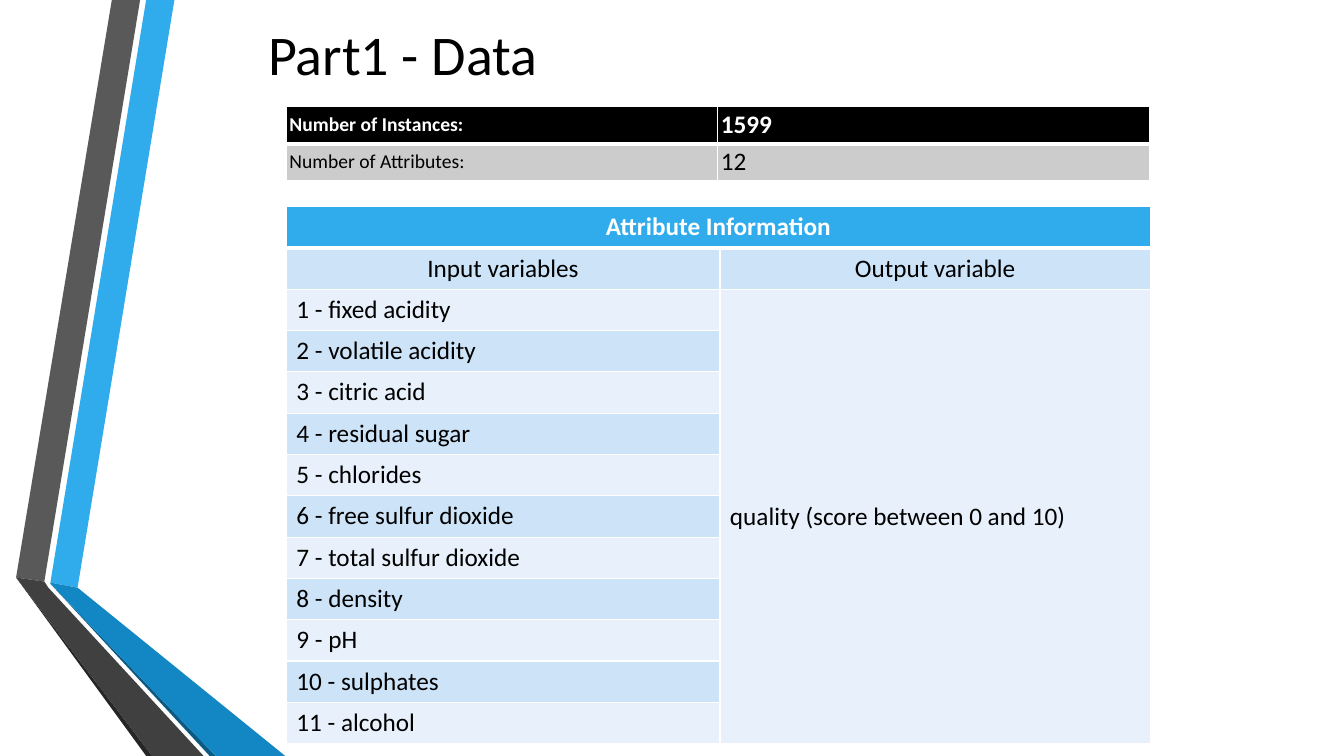
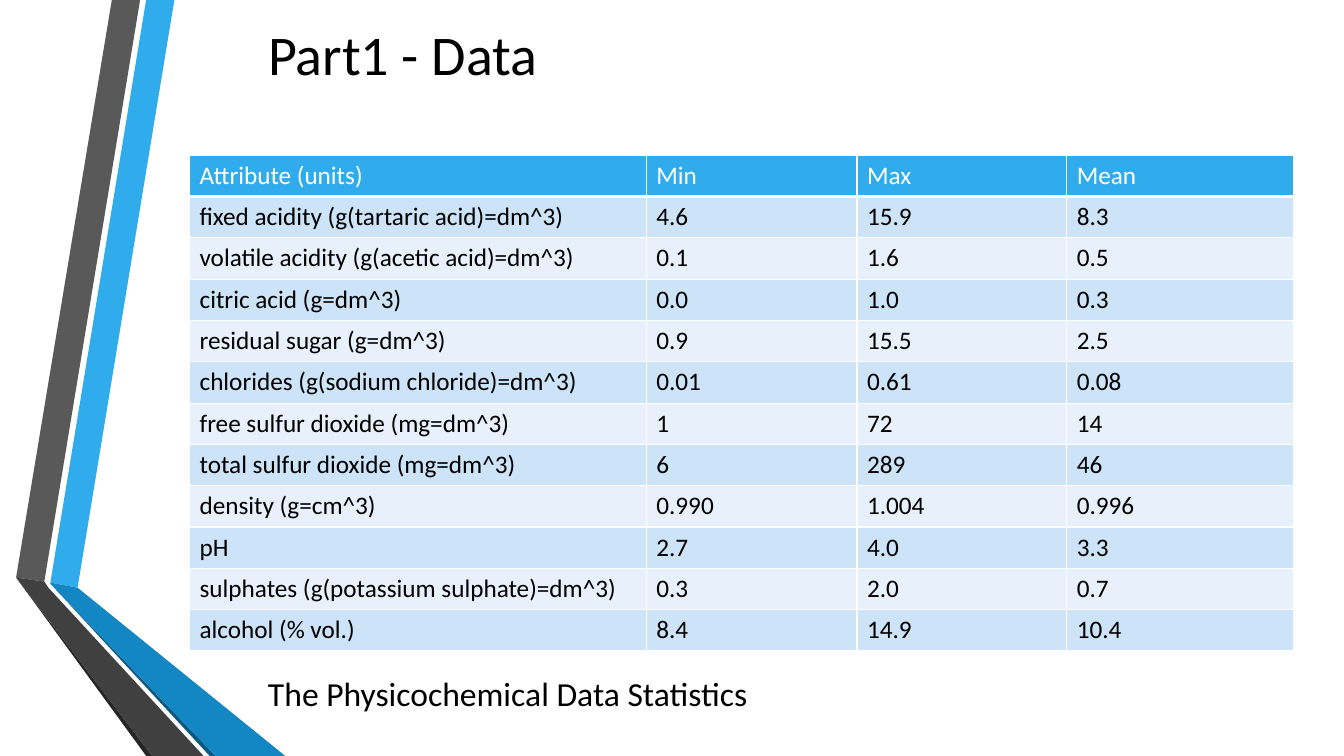
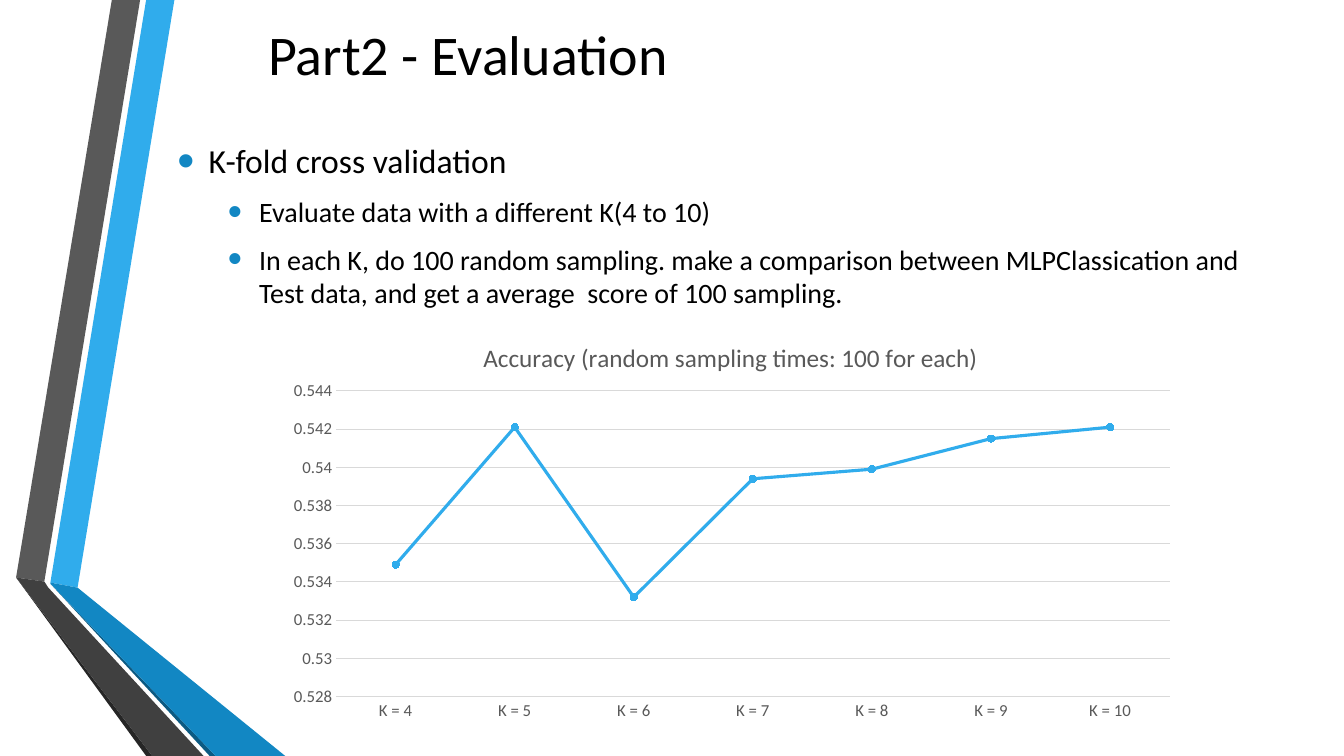
from dataclasses import dataclass

from lxml.etree import SubElement
from pptx import Presentation
from pptx.chart.data import CategoryChartData
from pptx.dml.color import RGBColor
from pptx.enum.chart import XL_CHART_TYPE as ChartType, XL_MARKER_STYLE as MarkerStyle
from pptx.enum.chart import XL_TICK_MARK as TickMark
from pptx.enum.text import MSO_ANCHOR as Anchor, MSO_AUTO_SIZE as AutoSize, PP_ALIGN as Align
from pptx.oxml import parse_xml
from pptx.oxml.ns import nsdecls, qn
from pptx.util import Inches, Pt


@dataclass(frozen=True)
class Theme:
    font: str = "Calibri"
    black: str = "000000"
    white: str = "FFFFFF"
    gray: str = "595959"
    charcoal: str = "404040"
    dark_edge: str = "262626"
    silver: str = "CCCCCC"
    grid: str = "D9D9D9"
    blue: str = "30ACEC"
    deep_blue: str = "1287C3"
    blue_edge: str = "0C5A82"
    band: str = "CDE3F8"
    light_band: str = "E8F1FB"
    title_size: int = 40
    lead_size: int = 24
    point_size: int = 20
    table_size: int = 18
    label_size: int = 14
    chart_title_size: int = 18
    axis_size: int = 12


THEME = Theme()
TITLE_ONLY, TITLE_AND_CONTENT = 5, 1
ROW_HEIGHT = 0.41

RIBBONS = [
    (THEME.blue, [(0.5, 5.78), (0.77, 5.83), (1.73, 0), (1.45, 0)]),
    (THEME.gray, [(1.39, 0), (1.11, 0), (0.16, 5.73), (0.44, 5.77)]),
    (THEME.dark_edge, [(0.16, 5.73), (1.45, 7.5), (1.51, 7.5)]),
    (THEME.blue_edge, [(0.5, 5.79), (2.08, 7.5), (2.14, 7.5)]),
    (THEME.deep_blue, [(0.5, 5.78), (0.5, 5.79), (2.14, 7.5), (2.83, 7.5), (0.77, 5.83)]),
    (THEME.charcoal, [(2.02, 7.5), (0.48, 5.83), (0.44, 5.77), (0.16, 5.73), (1.51, 7.5)]),
]

COUNTS = [("Number of Instances:", "1599"), ("Number of Attributes:", "12")]

INPUTS = ["fixed acidity", "volatile acidity", "citric acid", "residual sugar", "chlorides",
          "free sulfur dioxide", "total sulfur dioxide", "density", "pH", "sulphates", "alcohol"]

STATISTICS = [
    ("Attribute (units)", "Min", "Max", "Mean"),
    ("fixed acidity (g(tartaric acid)=dm^3)", "4.6", "15.9", "8.3"),
    ("volatile acidity (g(acetic acid)=dm^3)", "0.1", "1.6", "0.5"),
    ("citric acid (g=dm^3)", "0.0", "1.0", "0.3"),
    ("residual sugar (g=dm^3)", "0.9", "15.5", "2.5"),
    ("chlorides (g(sodium chloride)=dm^3)", "0.01", "0.61", "0.08"),
    ("free sulfur dioxide (mg=dm^3)", "1", "72", "14"),
    ("total sulfur dioxide (mg=dm^3)", "6", "289", "46"),
    ("density (g=cm^3)", "0.990", "1.004", "0.996"),
    ("pH", "2.7", "4.0", "3.3"),
    ("sulphates (g(potassium sulphate)=dm^3)", "0.3", "2.0", "0.7"),
    ("alcohol (% vol.)", "8.4", "14.9", "10.4"),
]

VALIDATION_POINTS = [
    ("K-fold cross validation", 0),
    ("Evaluate data with a different K(4 to 10)", 1),
    ("In each K, do 100 random sampling. make a comparison between MLPClassication and "
     "Test data, and get a average  score of 100 sampling.", 1),
]

ACCURACY = [0.5349, 0.5421, 0.5332, 0.5394, 0.5399, 0.5415, 0.5421]


def rgb(color):
    return RGBColor.from_string(color)


def format_font(font, size, color, bold=False):
    font.name = THEME.font
    font.size = Pt(size)
    font.bold = bold
    font.color.rgb = rgb(color)


def write(paragraph, text, size=THEME.table_size, color=THEME.black, bold=False,
          align=Align.LEFT):
    paragraph.alignment = align
    run = paragraph.add_run()
    run.text = text
    format_font(run.font, size, color, bold)


def place(shape, left, top, width, height):
    shape.left, shape.top = Inches(left), Inches(top)
    shape.width, shape.height = Inches(width), Inches(height)


def add_slide(presentation, layout, title):
    slide = presentation.slides.add_slide(presentation.slide_layouts[layout])
    place(slide.shapes.title, 2.56, 0.04, 10.96, 0.98)
    frame = slide.shapes.title.text_frame
    frame.vertical_anchor = Anchor.MIDDLE
    frame.auto_size = AutoSize.NONE
    write(frame.paragraphs[0], title, size=THEME.title_size)
    return slide


def add_ribbons_to_master(presentation, slide):
    master_tree = presentation.slide_master.element.cSld.spTree
    for number, (color, outline) in enumerate(RIBBONS):
        points = [(Inches(x), Inches(y)) for x, y in outline]
        builder = slide.shapes.build_freeform(*points[0])
        builder.add_line_segments(points[1:], close=True)
        ribbon = builder.convert_to_shape()
        ribbon.shadow.inherit = False
        ribbon.fill.solid()
        ribbon.fill.fore_color.rgb = rgb(color)
        ribbon.line.fill.background()
        ribbon.element.nvSpPr.cNvPr.id = 100 + number
        master_tree.insert(2 + number, ribbon.element)


def style_cell(cell, fill, top=1, bottom=1):
    properties = cell._tc.get_or_add_tcPr()
    for side, width in (("L", 1), ("R", 1), ("T", top), ("B", bottom)):
        line = SubElement(properties, qn(f"a:ln{side}"), w=str(Pt(width)))
        SubElement(SubElement(line, qn("a:solidFill")), qn("a:srgbClr"), val=THEME.white)
    cell.fill.solid()
    cell.fill.fore_color.rgb = rgb(fill)


def add_table(slide, left, top, widths, rows, row_height=ROW_HEIGHT, header_fill=THEME.blue,
              bands=(THEME.light_band, THEME.band), header_bold=False, centered_rows=0,
              first_column_size=THEME.table_size, margin=None):
    frame = slide.shapes.add_table(len(rows), len(widths), Inches(left), Inches(top),
                                   Inches(sum(widths)), Inches(row_height * len(rows)))
    table = frame.table
    for column, width in zip(table.columns, widths):
        column.width = Inches(width)
    for row_index, values in enumerate(rows):
        header = row_index == 0
        table.rows[row_index].height = Inches(row_height)
        for column_index, value in enumerate(values):
            cell = table.cell(row_index, column_index)
            style_cell(cell, header_fill if header else bands[row_index % 2],
                       top=3 if row_index == 1 else 1, bottom=3 if header else 1)
            if margin is not None:
                cell.margin_left = cell.margin_right = Inches(margin)
                cell.margin_top = cell.margin_bottom = Inches(margin)
                cell.vertical_anchor = Anchor.MIDDLE
            if value:
                write(cell.text_frame.paragraphs[0], value,
                      size=THEME.table_size if column_index else first_column_size,
                      color=THEME.white if header else THEME.black,
                      bold=header and header_bold,
                      align=Align.CENTER if row_index < centered_rows else Align.LEFT)
    return table


def add_bullet(paragraph, text, level):
    paragraph.level = level
    paragraph.space_after = Pt(6)
    write(paragraph, text, size=THEME.point_size if level else THEME.lead_size)
    properties = paragraph._p.get_or_add_pPr()
    properties.set("marL", str(Inches(0.31 + 0.5 * level)))
    properties.set("indent", str(Inches(-0.31)))
    SubElement(SubElement(properties, qn("a:buClr")), qn("a:srgbClr"), val=THEME.deep_blue)
    SubElement(properties, qn("a:buSzPct"), val="145000")
    SubElement(properties, qn("a:buFont"), typeface="Arial")
    SubElement(properties, qn("a:buChar"), char="•")


def fill_body(body, points):
    frame = body.text_frame
    frame.auto_size = AutoSize.NONE
    for index, (text, level) in enumerate(points):
        paragraph = frame.add_paragraph() if index else frame.paragraphs[0]
        add_bullet(paragraph, text, level)


def set_plot_area(chart, x, y, width, height):
    plot_area = chart.element.chart.plotArea
    for layout in plot_area.findall(qn("c:layout")):
        plot_area.remove(layout)
    sizes = "".join(f'<c:{name} val="{value}"/>'
                    for name, value in (("x", x), ("y", y), ("w", width), ("h", height)))
    plot_area.insert(0, parse_xml(
        f'<c:layout {nsdecls("c")}><c:manualLayout><c:layoutTarget val="inner"/>'
        f'<c:xMode val="edge"/><c:yMode val="edge"/>{sizes}</c:manualLayout></c:layout>'))


def add_accuracy_chart(slide):
    data = CategoryChartData(number_format="General")
    data.categories = [f"K = {k}" for k in range(4, 11)]
    data.add_series("Series 1", ACCURACY)
    chart = slide.shapes.add_chart(ChartType.LINE_MARKERS, Inches(2.8), Inches(3.2),
                                   Inches(8.89), Inches(3.99), data).chart
    format_font(chart.font, THEME.axis_size, THEME.gray)
    chart.has_legend = False
    chart.has_title = True
    write(chart.chart_title.text_frame.paragraphs[0],
          "Accuracy (random sampling times: 100 for each)",
          size=THEME.chart_title_size, color=THEME.gray, align=Align.CENTER)
    chart.chart_title.include_in_layout = False
    set_plot_area(chart, 0.06, 0.17, 0.93, 0.76)

    for axis in (chart.category_axis, chart.value_axis):
        axis.major_tick_mark = axis.minor_tick_mark = TickMark.NONE
        format_font(axis.tick_labels.font, THEME.axis_size, THEME.gray)
    values = chart.value_axis
    values.minimum_scale, values.maximum_scale, values.major_unit = 0.528, 0.544, 0.002
    values.format.line.fill.background()
    for line in (chart.category_axis.format.line, values.major_gridlines.format.line):
        line.color.rgb = rgb(THEME.grid)
        line.width = Pt(0.75)

    chart.plots[0].vary_by_categories = False
    series = chart.plots[0].series[0]
    series.smooth = False
    series.format.line.color.rgb = rgb(THEME.blue)
    series.format.line.width = Pt(2.25)
    series.marker.style = MarkerStyle.CIRCLE
    series.marker.size = 5
    series.marker.format.fill.solid()
    series.marker.format.fill.fore_color.rgb = rgb(THEME.blue)
    series.marker.format.line.color.rgb = rgb(THEME.blue)


def build_attributes(presentation):
    slide = add_slide(presentation, TITLE_ONLY, "Part1 - Data")
    add_ribbons_to_master(presentation, slide)
    add_table(slide, 2.84, 1.06, [4.28, 4.28], COUNTS, row_height=0.36,
              header_fill=THEME.black, bands=(THEME.silver, THEME.silver), header_bold=True,
              first_column_size=THEME.label_size, margin=0.03)
    rows = [("Attribute Information", ""), ("Input variables", "Output variable")]
    rows += [(f"{number} - {name}", "") for number, name in enumerate(INPUTS, start=1)]
    table = add_table(slide, 2.84, 2.05, [4.3, 4.27], rows, header_bold=True, centered_rows=2)
    table.cell(0, 0).merge(table.cell(0, 1))
    output = table.cell(2, 1)
    output.merge(table.cell(len(rows) - 1, 1))
    output.vertical_anchor = Anchor.MIDDLE
    write(output.text_frame.paragraphs[0], "quality (score between 0 and 10)")


def build_statistics(presentation):
    slide = add_slide(presentation, TITLE_ONLY, "Part1 - Data")
    add_table(slide, 1.88, 1.54, [4.53, 2.09, 2.08, 2.25], STATISTICS)
    caption = slide.shapes.add_textbox(Inches(2.56), Inches(6.63), Inches(5.2), Inches(0.5))
    caption.text_frame.word_wrap = False
    write(caption.text_frame.paragraphs[0], "The Physicochemical Data Statistics",
          size=THEME.lead_size)


def build_evaluation(presentation):
    slide = add_slide(presentation, TITLE_AND_CONTENT, "Part2 - Evaluation")
    body = slide.placeholders[1]
    place(body, 1.66, 1.34, 10.92, 1.93)
    fill_body(body, VALIDATION_POINTS)
    add_accuracy_chart(slide)


def main():
    presentation = Presentation()
    presentation.slide_width, presentation.slide_height = Inches(13.33), Inches(7.5)
    build_attributes(presentation)
    build_statistics(presentation)
    build_evaluation(presentation)
    presentation.save("out.pptx")


main()
